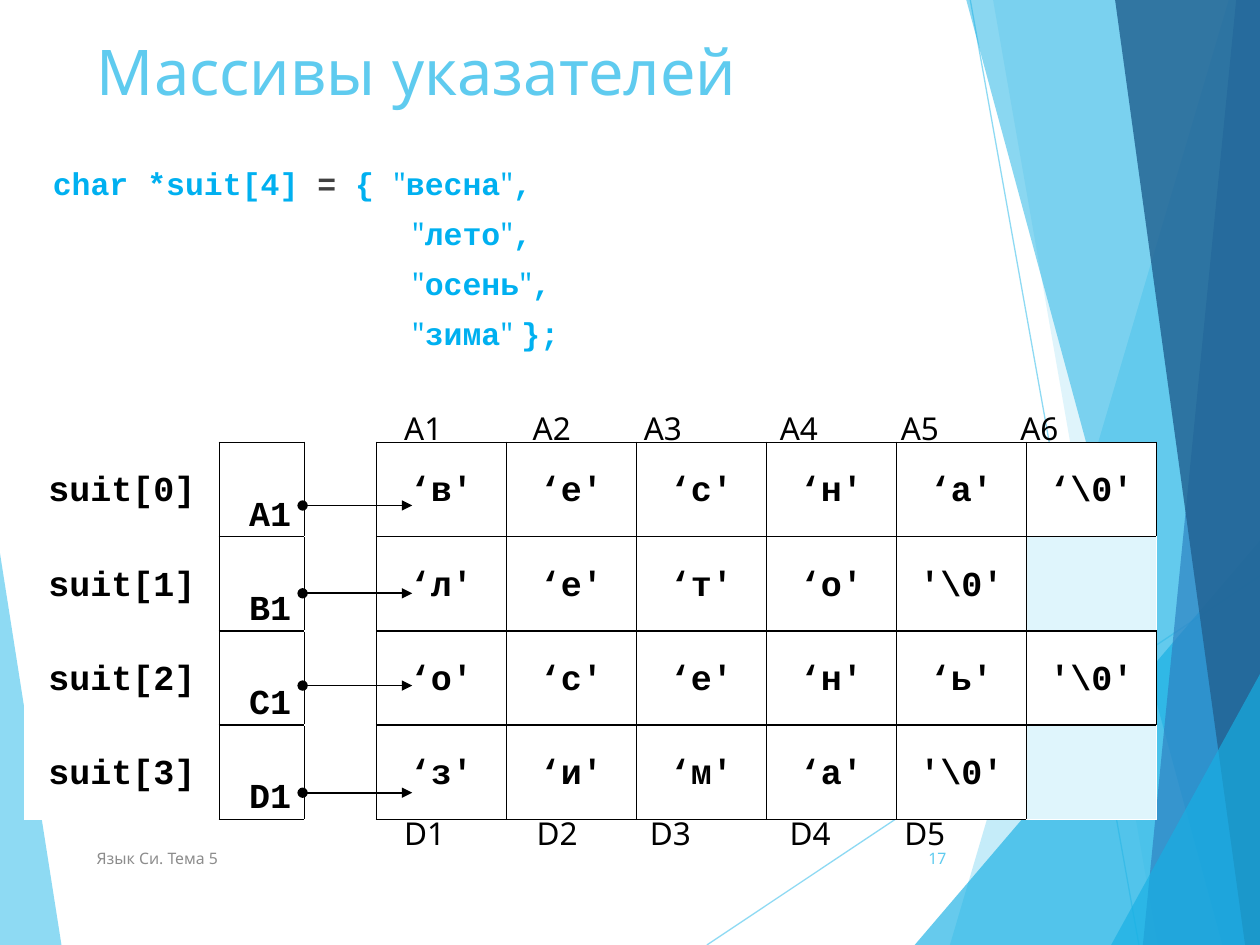
from lxml.etree import SubElement as Sub
from pptx import Presentation
from pptx.dml.color import RGBColor
from pptx.enum.shapes import MSO_CONNECTOR as Link
from pptx.enum.text import MSO_ANCHOR as Anchor, PP_ALIGN as Align
from pptx.oxml.ns import qn
from pptx.util import Cm, Pt

SKY = RGBColor(0x5F, 0xCB, 0xEF)
AZURE = RGBColor(0x17, 0xB0, 0xE4)
BLUE = RGBColor(0x2E, 0x83, 0xC3)
NAVY = RGBColor(0x22, 0x62, 0x92)
CODE = RGBColor(0x00, 0xB0, 0xF0)
PALE = RGBColor(0xDF, 0xF5, 0xFC)
DARK = RGBColor(0x40, 0x40, 0x40)
GREY = RGBColor(0x8C, 0x8C, 0x8C)
BLACK = RGBColor(0, 0, 0)
WHITE = RGBColor(255, 255, 255)
SANS, MONO = "Noto Sans", "Courier New"
WIDE, HIGH = 25.4, 19.05

deck = Presentation()
deck.slide_width, deck.slide_height = Cm(WIDE), Cm(HIGH)
slide = deck.slides.add_slide(deck.slide_layouts[1])
shapes = slide.shapes


def draw(x1, y1, x2, y2, color, width):
    """Add a straight line without shadow and return its a:ln element."""
    line = shapes.add_connector(Link.STRAIGHT, Cm(x1), Cm(y1), Cm(x2), Cm(y2))
    line.line.color.rgb = color
    line.line.width = Pt(width)
    props = line._element.spPr
    Sub(props, qn("a:effectLst"))
    return props.find(qn("a:ln"))


def note(text, x, y, w, size, color, stops=()):
    """Add a one-line text box, with tab stops in cm."""
    box = shapes.add_textbox(Cm(x), Cm(y), Cm(w), Cm(1.02))
    box.text_frame.word_wrap = True
    par = box.text_frame.paragraphs[0]
    par.text = text
    par.font.name, par.font.size, par.font.color.rgb = SANS, Pt(size), color
    if stops:
        tabs = Sub(par._p.get_or_add_pPr(), qn("a:tabLst"))
        par._p.pPr.insert(0, tabs)
        for stop in stops:
            Sub(tabs, qn("a:tab"), pos=str(Cm(stop)), algn="l")
    return box


# Background facets
for ends in [(14.25, HIGH, WIDE, 11.61), (19.56, 0, 22.96, HIGH)]:
    ln = draw(*ends, SKY, 0.75)
    Sub(ln.find(".//" + qn("a:srgbClr")), qn("a:alpha"), val="70000")

base, top = (WIDE, HIGH), (WIDE, 0)
facets = [
    (SKY, 70, [(0, 11.15), (1.24, HIGH), (0, HIGH)]),
    (SKY, 36, [(24.77, 0), (19.15, HIGH), base, top]),
    (SKY, 20, [(20.02, 0), (23.34, HIGH), base, top]),
    (AZURE, 66, [(18.44, HIGH), (WIDE, 10.9), base]),
    (AZURE, 50, [(19.48, 0), (24.64, HIGH), base, top]),
    (BLUE, 70, [(24.92, 0), (23.04, HIGH), base, top]),
    (NAVY, 82, [(22.48, 0), (25.1, HIGH), base, top]),
    (AZURE, 66, [(22.4, HIGH), (WIDE, 13.59), base]),
]
for color, alpha, dots in facets:
    dots = [(Cm(x), Cm(y)) for x, y in dots]
    path = shapes.build_freeform(*dots[0])
    path.add_line_segments(dots[1:], close=True)
    facet = path.convert_to_shape()
    facet.shadow.inherit = False
    facet.fill.solid()
    facet.fill.fore_color.rgb = color
    facet.line.fill.background()
    tint = facet._element.spPr.find(qn("a:solidFill"))[0]
    Sub(tint, qn("a:alpha"), val=str(alpha * 1000))

# Title and code
title, body = shapes.title, slide.placeholders[1]
for holder, area in [(title, (1.7, 0.53, 17.63, 3.66)),
                     (body, (0.51, 3.18, 22.4, 11.3))]:
    holder.left, holder.top, holder.width, holder.height = map(Cm, area)
    holder.text_frame.vertical_anchor = Anchor.TOP
    shapes._spTree.append(holder._element)

title.text = "Массивы указателей"
head = title.text_frame.paragraphs[0]
head.alignment = Align.LEFT
head.font.name, head.font.size, head.font.color.rgb = SANS, Pt(36), SKY

quote = ('"', SANS, CODE)
start = [("char *suit[4] ", MONO, CODE), ("= ", MONO, DARK), ("{ ", MONO, CODE)]
words = [("весна", ","), ("лето", ","), ("осень", ","), ("зима", " };")]
frame = body.text_frame
for i, (word, end) in enumerate(words):
    par = frame.add_paragraph() if i else frame.paragraphs[0]
    par.space_before = Pt(7)
    par.font.size = Pt(18)
    props = par._p.get_or_add_pPr()
    props.set("marL", str(Cm(7.54 if i else 0.3)))
    props.set("indent", "0")
    props.insert_element_before(props.makeelement(qn("a:buNone")), "a:defRPr")
    mark = '"' + end[:-2]
    parts = [quote, (word, MONO, CODE), (mark, SANS, CODE),
             (end.strip(), MONO, CODE)]
    for text, face, color in parts if i else start + parts:
        run = par.add_run()
        run.text = text
        run.font.name, run.font.color.rgb = face, color
        run.font.bold = face == MONO

note("Язык Си. Тема 5", 1.7, 16.79, 12.85, 9,
     GREY).text_frame.vertical_anchor = Anchor.MIDDLE

# Memory table
rows = [
    ["suit[0]", "A1", "", "‘в'", "‘е'", "‘с'", "‘н'", "‘а'", "‘\\0'"],
    ["suit[1]", "B1", "", "‘л'", "‘е'", "‘т'", "‘о'", "'\\0'", ""],
    ["suit[2]", "C1", "", "‘о'", "‘с'", "‘е'", "‘н'", "‘ь'", "'\\0'"],
    ["suit[3]", "D1", "", "‘з'", "‘и'", "‘м'", "‘а'", "'\\0'", ""],
]
cols = [3.92, 1.72, 1.45] + [2.62] * 6
grid = shapes.add_table(len(rows), len(cols), Cm(0.5), Cm(8.92),
                        Cm(sum(cols)), Cm(7.6)).table
grid.first_row = grid.horz_banding = False
for col, width in zip(grid.columns, cols):
    col.width = Cm(width)
for r, row in enumerate(rows):
    grid.rows[r].height = Cm(1.9)
    for c, text in enumerate(row):
        cell = grid.cell(r, c)
        blank = c == 8 and not text
        pale = {0: "LTB", 2: "TB"}.get(c, "")
        if blank:
            pale = "RB" if r == 3 else "R"
        for side in "LRTB":
            edge = Sub(cell._tc.get_or_add_tcPr(), qn("a:ln" + side),
                       w=str(Pt(1)))
            ink = Sub(Sub(edge, qn("a:solidFill")), qn("a:srgbClr"))
            ink.set("val", str(WHITE if side in pale else BLACK))
        cell.fill.solid()
        cell.fill.fore_color.rgb = PALE if blank else WHITE
        cell.margin_left = Cm(0.6 if c == 1 else 0.18)
        cell.margin_right = Cm(0.18)
        cell.margin_top = cell.margin_bottom = 0
        cell.vertical_anchor = Anchor.BOTTOM if c == 1 else Anchor.MIDDLE
        cell.text = text
        par = cell.text_frame.paragraphs[0]
        par.alignment = Align.LEFT if c == 1 else Align.CENTER
        par.line_spacing = 1.15
        font = par.font
        font.name, font.size, font.bold = MONO, Pt(20), True
        font.color.rgb = BLACK

# Pointers
for y in [10.19, 11.96, 13.82, 15.98]:
    ln = draw(6.1, y, 8.31, y, BLACK, 1)
    Sub(ln, qn("a:headEnd"), type="oval")
    Sub(ln, qn("a:tailEnd"), type="triangle")

number = note("17", 17.91, 16.79, 1.42, 9, SKY).text_frame
number.vertical_anchor = Anchor.MIDDLE
number.paragraphs[0].alignment = Align.RIGHT

# Addresses
note("A1\tA2\tA3\tA4\tA5\tA6", 7.9, 8.13, 15.6, 18, BLACK,
     [2.59, 4.83, 7.57, 10.01, 12.42])
note("D1\tD2\tD3\tD4\tD5", 7.9, 16.28, 15.6, 18, BLACK,
     [2.67, 4.95, 7.77, 10.08])

deck.save("out.pptx")
